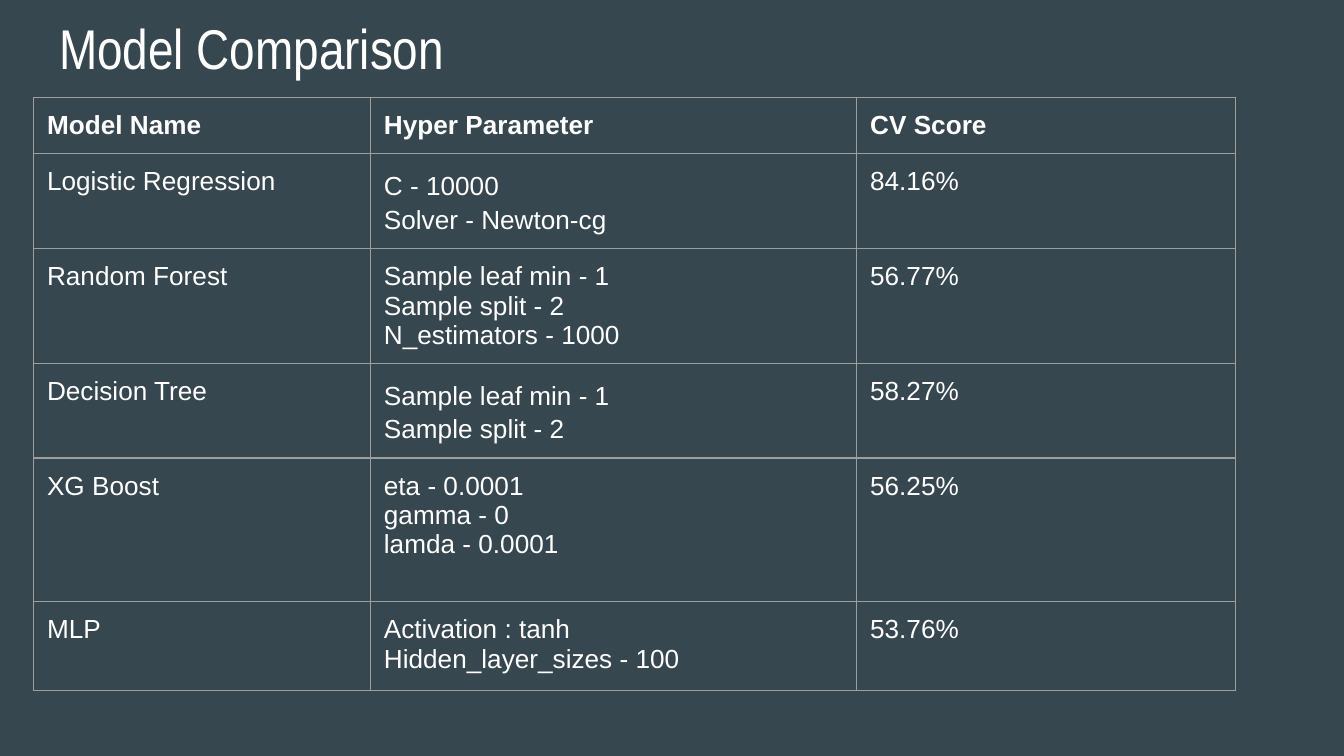
"""Builds the model comparison slide."""
import lxml.etree
import pptx
import pptx.dml.color
import pptx.enum.text
import pptx.oxml.ns
import pptx.util

Pt = pptx.util.Pt
BACKGROUND = pptx.dml.color.RGBColor(0x37, 0x47, 0x4F)
WHITE = pptx.dml.color.RGBColor(0xFF, 0xFF, 0xFF)
BORDER = pptx.dml.color.RGBColor(0x9E, 0x9E, 0x9E)
INSET = Pt(7.2)

HEADERS = ["Model Name", "Hyper Parameter", "CV Score"]
MODELS = [
    ("Logistic Regression", ["C - 10000", "Solver - Newton-cg"], "84.16%", 1.15),
    ("Random Forest", ["Sample leaf min - 1", "Sample split - 2", "N_estimators - 1000"], "56.77%", 1),
    ("Decision Tree", ["Sample leaf min - 1", "Sample split - 2"], "58.27%", 1.15),
    ("XG Boost", ["eta - 0.0001", "gamma - 0", "lamda - 0.0001"], "56.25%", 1),
    ("MLP", ["Activation : tanh", "Hidden_layer_sizes - 100"], "53.76%", 1),
]
COLUMN_WIDTHS = [180.5, 260.5, 203]
ROW_HEIGHTS = [30, 50.8, 61.6, 50.6, 77, 47.7]


def add_run(paragraph, text, font_name, size, bold=False):
    """Add one white run to a paragraph."""
    run = paragraph.add_run()
    run.text = text
    run.font.name = font_name
    run.font.size = Pt(size)
    run.font.bold = bold
    run.font.color.rgb = WHITE


def add_title(slide, left, top, width, height):
    """Place and format the slide title in the given box."""
    title = slide.shapes.title
    title.left, title.top, title.width, title.height = map(Pt, (left, top, width, height))
    frame = title.text_frame
    frame.word_wrap = True
    frame.auto_size = pptx.enum.text.MSO_AUTO_SIZE.NONE
    frame.vertical_anchor = pptx.enum.text.MSO_ANCHOR.TOP
    frame.margin_left = frame.margin_right = INSET
    frame.margin_top = frame.margin_bottom = INSET
    paragraph = frame.paragraphs[0]
    paragraph.alignment = pptx.enum.text.PP_ALIGN.LEFT
    add_run(paragraph, "Model Comparison", "Arial Narrow", 30)


def add_borders(cell):
    """Draw a thin line on all four sides of a cell."""
    properties = cell._tc.get_or_add_tcPr()
    qualify = pptx.oxml.ns.qn
    for side in ("a:lnL", "a:lnR", "a:lnT", "a:lnB"):
        line = lxml.etree.SubElement(properties, qualify(side), w=str(Pt(0.75)))
        fill = lxml.etree.SubElement(line, qualify("a:solidFill"))
        lxml.etree.SubElement(fill, qualify("a:srgbClr"), val=str(BORDER))


def fill_cell(cell, lines, bold=False, line_spacing=1):
    """Write lines as paragraphs into a bordered, unfilled cell."""
    add_borders(cell)
    cell.fill.background()
    cell.margin_left = cell.margin_right = INSET
    cell.margin_top = cell.margin_bottom = INSET
    frame = cell.text_frame
    for index, line in enumerate(lines):
        paragraph = frame.add_paragraph() if index else frame.paragraphs[0]
        paragraph.line_spacing = float(line_spacing)
        add_run(paragraph, line, "Arial", 14, bold)


def add_model_table(slide, left, top, width, height):
    """Place the table of models, parameters and scores in the given box."""
    table = slide.shapes.add_table(
        len(MODELS) + 1, len(HEADERS), Pt(left), Pt(top), Pt(width), Pt(height)
    ).table
    table.horz_banding = False
    for column, share in zip(table.columns, COLUMN_WIDTHS):
        column.width = Pt(width * share / sum(COLUMN_WIDTHS))
    for row, share in zip(table.rows, ROW_HEIGHTS):
        row.height = Pt(height * share / sum(ROW_HEIGHTS))
    for column, header in enumerate(HEADERS):
        fill_cell(table.cell(0, column), [header], bold=True)
    for row, (name, parameters, score, spacing) in enumerate(MODELS, start=1):
        fill_cell(table.cell(row, 0), [name])
        fill_cell(table.cell(row, 1), parameters, line_spacing=spacing)
        fill_cell(table.cell(row, 2), [score])


def main():
    """Build and save the presentation."""
    presentation = pptx.Presentation()
    presentation.slide_width, presentation.slide_height = Pt(720), Pt(405)
    slide = presentation.slides.add_slide(presentation.slide_layouts.get_by_name("Title Only"))
    slide.background.fill.solid()
    slide.background.fill.fore_color.rgb = BACKGROUND
    add_title(slide, 24.5, 0, 671, 45.4)
    add_model_table(slide, 18, 52.2, sum(COLUMN_WIDTHS), sum(ROW_HEIGHTS))
    presentation.save("out.pptx")


if __name__ == "__main__":
    main()
